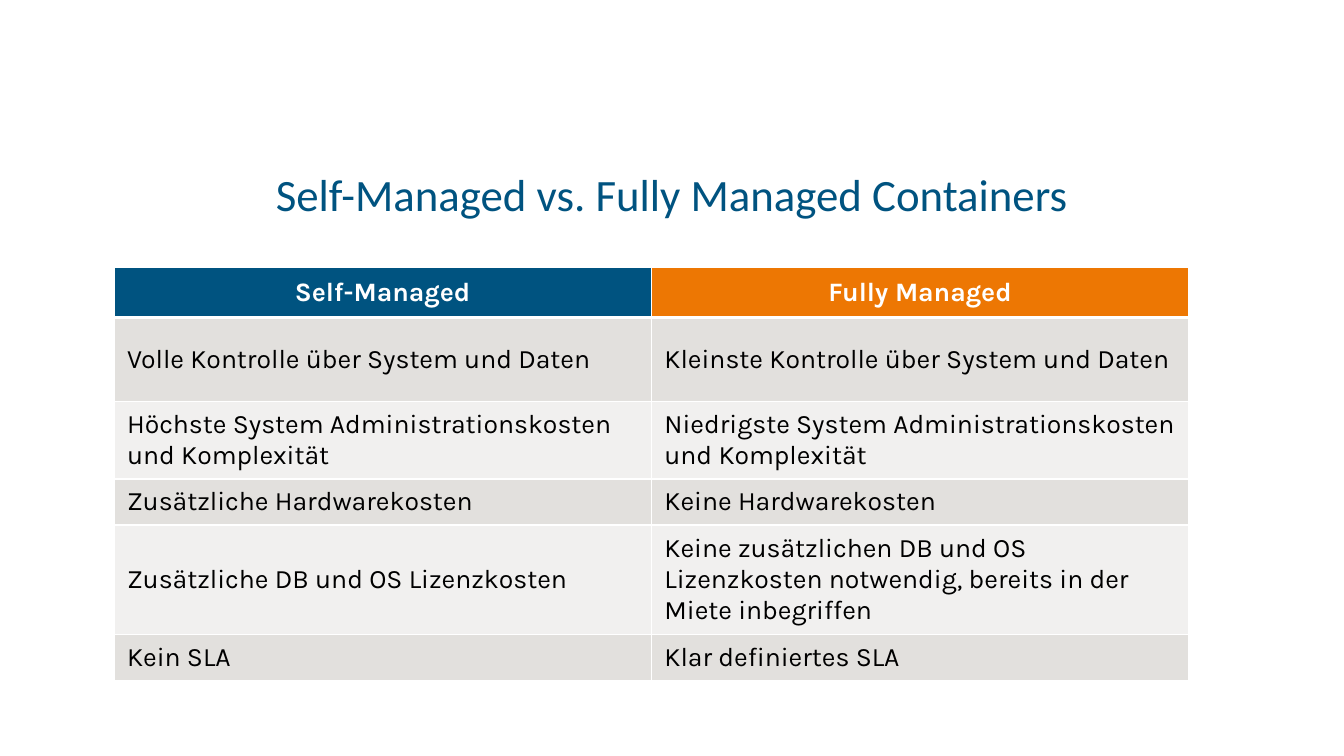
from lxml.etree import SubElement
from pptx import Presentation
from pptx.dml.color import RGBColor
from pptx.enum.text import MSO_ANCHOR as Anchor, PP_ALIGN as Align
from pptx.oxml.ns import qn
from pptx.util import Inches, Pt

COLORS = {
    "blue": "005380",
    "orange": "ED7703",
    "band_dark": "E2E0DD",
    "band_light": "F1F0EF",
    "white": "FFFFFF",
    "black": "000000",
}
HEADINGS = [("Self-Managed", "blue"), ("Fully Managed", "orange")]
COMPARISON = [
    ("Volle Kontrolle über System und Daten",
     "Kleinste Kontrolle über System und Daten"),
    ("Höchste System Administrationskosten und Komplexität",
     "Niedrigste System Administrationskosten und Komplexität"),
    ("Zusätzliche Hardwarekosten", "Keine Hardwarekosten"),
    ("Zusätzliche DB und OS Lizenzkosten",
     "Keine zusätzlichen DB und OS Lizenzkosten notwendig, "
     "bereits in der Miete inbegriffen"),
    ("Kein SLA", "Klar definiertes SLA"),
]
ROW_HEIGHTS = [0.5, 0.83, 0.75, 0.44, 0.75, 0.44]
COLUMN_WIDTH = 5.33
THIN, THICK = 0.96, 3


def add_run(para, text, font, size, color, bold=False):
    span = para.add_run()
    span.text = text
    span.font.name = font
    span.font.size = Pt(size)
    span.font.bold = bold
    span.font.color.rgb = RGBColor.from_string(COLORS[color])


def add_title(page, text):
    box = page.shapes.add_textbox(Inches(0.67), Inches(1.63), Inches(11.99), Inches(0.58))
    frame = box.text_frame
    frame.word_wrap = True
    frame.vertical_anchor = Anchor.MIDDLE
    frame.margin_left = frame.margin_right = frame.margin_top = frame.margin_bottom = 0
    para = frame.paragraphs[0]
    para.alignment = Align.CENTER
    add_run(para, text, "Calibri", 32, "blue")


def set_borders(cell, top, bottom):
    properties = cell._tc.get_or_add_tcPr()
    for side, width in (("L", THIN), ("R", THIN), ("T", top), ("B", bottom)):
        line = SubElement(properties, qn(f"a:ln{side}"), w=str(Pt(width)))
        fill = SubElement(line, qn("a:solidFill"))
        SubElement(fill, qn("a:srgbClr"), val=COLORS["white"])


def fill_cell(cell, text, fill, row):
    is_heading = row == 0
    set_borders(cell, THICK if row == 1 else THIN, THICK if is_heading else THIN)
    cell.fill.solid()
    cell.fill.fore_color.rgb = RGBColor.from_string(COLORS[fill])
    cell.vertical_anchor = Anchor.MIDDLE
    cell.margin_left = cell.margin_right = Inches(0.13)
    cell.margin_top = cell.margin_bottom = Inches(0.07)
    para = cell.text_frame.paragraphs[0]
    para.alignment = Align.CENTER if is_heading else Align.LEFT
    add_run(para, text, "Karla", 19, "white" if is_heading else "black", is_heading)


def add_comparison(page):
    table = page.shapes.add_table(
        len(ROW_HEIGHTS), len(HEADINGS), Inches(1.13), Inches(2.65),
        Inches(COLUMN_WIDTH * len(HEADINGS)), Inches(sum(ROW_HEIGHTS))).table
    for column in table.columns:
        column.width = Inches(COLUMN_WIDTH)
    for table_row, height in zip(table.rows, ROW_HEIGHTS):
        table_row.height = Inches(height)

    # Heading row
    for column, (text, fill) in enumerate(HEADINGS):
        fill_cell(table.cell(0, column), text, fill, 0)

    # Banded body rows
    for row, texts in enumerate(COMPARISON, start=1):
        fill = "band_dark" if row % 2 else "band_light"
        for column, text in enumerate(texts):
            fill_cell(table.cell(row, column), text, fill, row)


def main():
    deck = Presentation()
    deck.slide_width, deck.slide_height = Inches(13.33), Inches(7.5)
    page = deck.slides.add_slide(deck.slide_layouts[6])
    add_title(page, "Self-Managed vs. Fully Managed Containers")
    add_comparison(page)
    deck.save("out.pptx")


if __name__ == "__main__":
    main()
